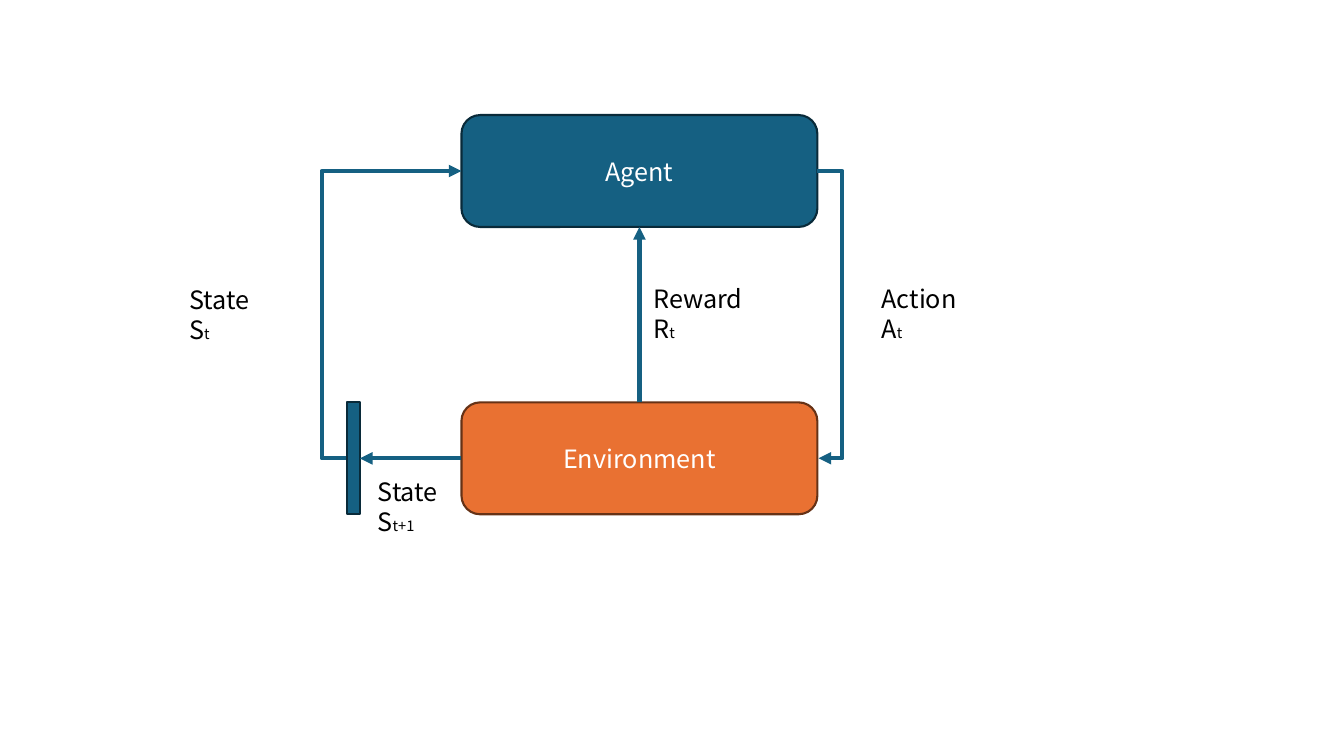
from pptx import Presentation
from pptx.dml.color import RGBColor
from pptx.enum.shapes import MSO_CONNECTOR, MSO_SHAPE
from pptx.enum.text import MSO_ANCHOR, MSO_AUTO_SIZE, PP_ALIGN
from pptx.oxml.ns import qn
from pptx.util import Cm, Pt
from lxml.etree import SubElement

COLORS = {"blue": "156082", "blue_edge": "092A39", "orange": "E97132",
          "orange_edge": "663216", "white": "FFFFFF", "black": "000000"}
FONT = {"name": "Noto Sans CJK JP", "size": Pt(18)}
SUBSCRIPT = FONT | {"size": Pt(10.5)}
NODE_FRAME = {"vertical_anchor": MSO_ANCHOR.MIDDLE, "word_wrap": True}
LABEL_FRAME = {"word_wrap": True, "auto_size": MSO_AUTO_SIZE.SHAPE_TO_FIT_TEXT}
NODE_WIDTH, NODE_HEIGHT, NODE_STEP = 8.97, 2.82, 7.24
BAR_WIDTH, BAR_GAP, LOOP_REACH = 0.33, 2.56, 0.63


def apply_format(target, values):
    """Set every attribute in a dict of format values."""
    for name, value in values.items():
        setattr(target, name, value)


def add_run(paragraph, text, font, color):
    """Add one formatted run to a paragraph."""
    run = paragraph.add_run()
    run.text = text
    apply_format(run.font, font)
    run.font.color.rgb = RGBColor.from_string(COLORS[color])


def add_block(slide, preset, box, color):
    """Add a filled and outlined shape in the given box."""
    shape = slide.shapes.add_shape(preset, *map(Cm, box))
    shape.shadow.inherit = False
    shape.fill.solid()
    shape.fill.fore_color.rgb = RGBColor.from_string(COLORS[color])
    shape.line.color.rgb = RGBColor.from_string(COLORS[color + "_edge"])
    shape.line.width = Pt(1.5)
    return shape


def add_node(slide, box, text, color):
    """Add a rounded node with a centred caption."""
    frame = add_block(slide, MSO_SHAPE.ROUNDED_RECTANGLE, box, color).text_frame
    apply_format(frame, NODE_FRAME)
    paragraph = frame.paragraphs[0]
    paragraph.alignment = PP_ALIGN.CENTER
    add_run(paragraph, text, FONT, "white")


def add_label(slide, left, top, word, symbol, index):
    """Add a word above its symbol with a small index."""
    frame = slide.shapes.add_textbox(Cm(left), Cm(top), Cm(3.15), Cm(1.8)).text_frame
    apply_format(frame, LABEL_FRAME)
    add_run(frame.paragraphs[0], word, FONT, "black")
    symbol_line = frame.add_paragraph()
    add_run(symbol_line, symbol, FONT, "black")
    add_run(symbol_line, index, SUBSCRIPT, "black")


def add_arrow(slide, start, end, reach=None):
    """Add an arrow, bent sideways by reach when one is given."""
    kind = MSO_CONNECTOR.STRAIGHT if reach is None else MSO_CONNECTOR.ELBOW
    arrow = slide.shapes.add_connector(kind, *map(Cm, start + end))
    arrow.line.color.rgb = RGBColor.from_string(COLORS["blue"])
    arrow.line.width = Pt(3)
    properties = arrow._element.spPr
    SubElement(properties.find(qn("a:ln")), qn("a:tailEnd"), type="triangle")
    SubElement(properties, qn("a:effectLst"))
    if reach is not None:
        bend = round(reach / (end[0] - start[0]) * 100000)
        guides = properties.find(qn("a:prstGeom")).get_or_add_avLst()
        SubElement(guides, qn("a:gd"), name="adj1", fmla=f"val {bend}")


def add_learning_loop(slide, left, top):
    """Draw the agent and environment loop from its agent's top left corner."""
    right, center = left + NODE_WIDTH, left + NODE_WIDTH / 2
    environment_top = top + NODE_STEP
    agent_middle = top + NODE_HEIGHT / 2
    environment_middle = agent_middle + NODE_STEP
    bar_left = left - BAR_GAP - BAR_WIDTH

    add_node(slide, (left, top, NODE_WIDTH, NODE_HEIGHT), "Agent", "blue")
    add_node(slide, (left, environment_top, NODE_WIDTH, NODE_HEIGHT),
             "Environment", "orange")
    add_arrow(slide, (right, agent_middle), (right + 0.03, environment_middle), LOOP_REACH)
    add_arrow(slide, (bar_left, environment_middle), (left, agent_middle), -LOOP_REACH)
    add_arrow(slide, (center, environment_top), (center, top + NODE_HEIGHT))
    add_block(slide, MSO_SHAPE.RECTANGLE,
              (bar_left, environment_top, BAR_WIDTH, NODE_HEIGHT), "blue")
    add_arrow(slide, (left, environment_middle), (left - BAR_GAP, environment_middle))

    label_top = top + 4.11
    add_label(slide, right + 1.37, label_top, "Action", "A", "t")
    add_label(slide, left - 7.11, label_top + 0.03, "State", "S", "t")
    add_label(slide, left - 2.36, environment_top + 1.73, "State", "S", "t+1")
    add_label(slide, center + 0.1, label_top, "Reward", "R", "t")


def main():
    """Build and save the one-slide presentation."""
    presentation = Presentation()
    apply_format(presentation, {"slide_width": Cm(33.87), "slide_height": Cm(19.05)})
    slide = presentation.slides.add_slide(presentation.slide_layouts[6])
    add_learning_loop(slide, 11.63, 2.9)
    presentation.save("out.pptx")


if __name__ == "__main__":
    main()
